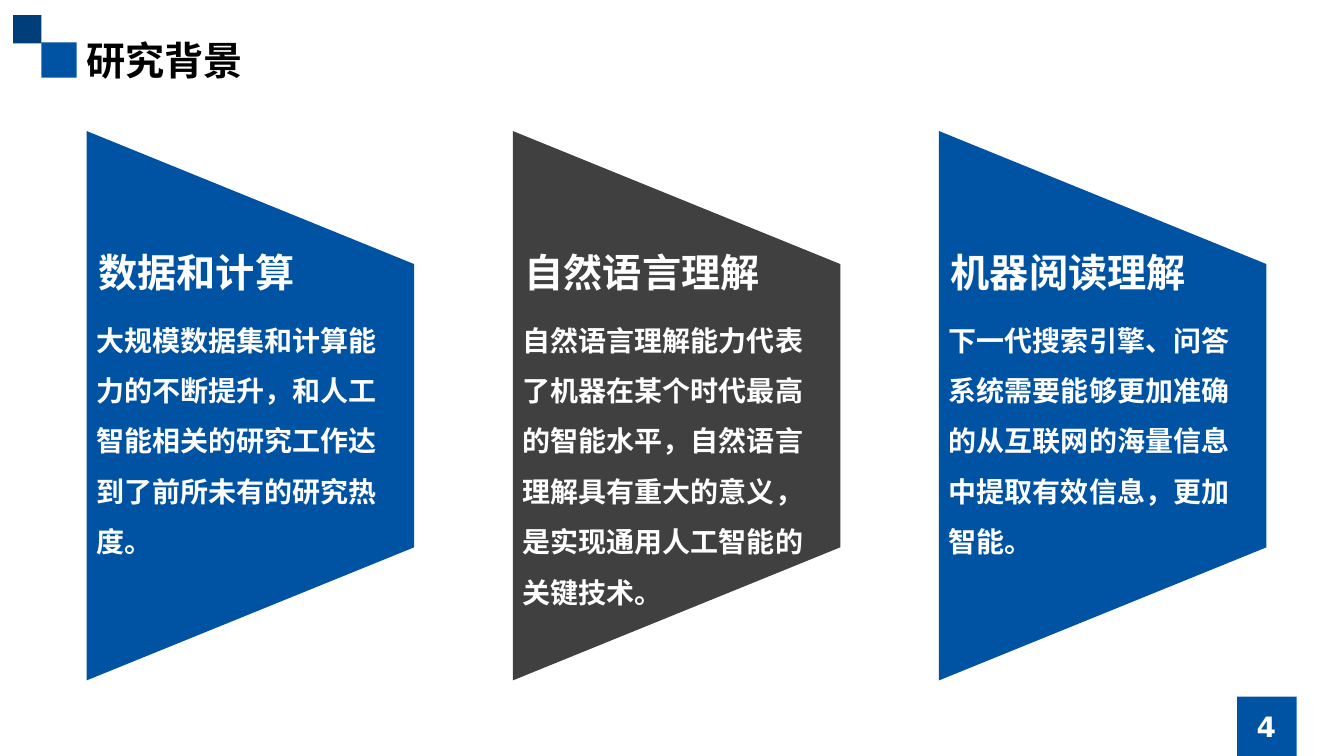
from lxml.etree import SubElement
from pptx import Presentation
from pptx.dml.color import RGBColor
from pptx.enum.shapes import MSO_SHAPE as Shape
from pptx.enum.text import MSO_ANCHOR as Anchor, MSO_AUTO_SIZE as AutoSize, PP_ALIGN as Align
from pptx.oxml.ns import qn
from pptx.util import Pt

EMU_PER_PX = 9144
COLOURS = {
    "blue": "0053A3",
    "navy": "003E7A",
    "grey": "404040",
    "white": "FFFFFF",
    "black": "000000",
}
CJK_FONT = "Noto Sans CJK SC"
PANEL_LEFT, PANEL_PITCH, PANEL_WIDTH = 86, 423, 325
PANELS = [
    ("数据和计算", 214, "blue", 260,
     "大规模数据集和计算能力的不断提升，和人工智能相关的研究工作达到了前所未有的研究热度。"),
    ("自然语言理解", 253, "grey", 360,
     "自然语言理解能力代表了机器在某个时代最高的智能水平，自然语言理解具有重大的意义，是实现通用人工智能的关键技术。"),
    ("机器阅读理解", 253, "blue", 260,
     "下一代搜索引擎、问答系统需要能够更加准确的从互联网的海量信息中提取有效信息，更加智能。"),
]


def px(value):
    return value * EMU_PER_PX


def colour(name):
    return RGBColor.from_string(COLOURS[name])


class SlideBuilder:
    def __init__(self, presentation):
        self.slide = presentation.slides.add_slide(presentation.slide_layouts[5])
        self.shapes = self.slide.shapes

    def paint(self, shape, fill):
        shape.shadow.inherit = False
        shape.fill.solid()
        shape.fill.fore_color.rgb = colour(fill)
        shape.line.fill.background()

    def square(self, left, top, size, fill):
        shape = self.shapes.add_shape(Shape.RECTANGLE, px(left), px(top), px(size), px(size))
        self.paint(shape, fill)

    def trapezoid(self, left, fill):
        right = left + PANEL_WIDTH
        builder = self.shapes.build_freeform(left, 130, EMU_PER_PX)
        builder.add_line_segments([(right, 262), (right, 543), (left, 675)], close=True)
        self.paint(builder.convert_to_shape(), fill)

    def fill_text(self, shape, text, size, font, fill="white", align=Align.LEFT,
                  anchor=Anchor.TOP, spacing=1.0, wrap=True):
        frame = shape.text_frame
        frame.word_wrap = wrap
        frame.auto_size = AutoSize.NONE
        frame.vertical_anchor = anchor
        paragraph = frame.paragraphs[0]
        paragraph.alignment = align
        paragraph.line_spacing = spacing
        run = paragraph.add_run()
        run.text = text
        run.font.size = Pt(size)
        run.font.bold = True
        run.font.name = font
        run.font.color.rgb = colour(fill)
        SubElement(run.font._element, qn("a:ea"), typeface=CJK_FONT)

    def text(self, left, top, width, height, text, size, font, **style):
        box = self.shapes.add_textbox(px(left), px(top), px(width), px(height))
        self.fill_text(box, text, size, font, **style)

    def title(self, left, top, width, height, text):
        title = self.shapes.title
        title.left, title.top = px(left), px(top)
        title.width, title.height = px(width), px(height)
        self.fill_text(title, text, 28, CJK_FONT, fill="black")


def main():
    presentation = Presentation()
    presentation.slide_width = px(1334)
    presentation.slide_height = px(750)
    builder = SlideBuilder(presentation)

    builder.square(41, 42, 35, "blue")
    builder.square(13, 15, 28, "navy")
    builder.square(1228, 691, 59, "blue")
    builder.title(76, 31, 591, 57, "研究背景")
    builder.text(1181, 701, 152, 40, "4", 20, "DejaVu Sans",
                 align=Align.CENTER, anchor=Anchor.MIDDLE)

    for index, (heading, heading_width, fill, body_height, body) in enumerate(PANELS):
        left = PANEL_LEFT + index * PANEL_PITCH
        builder.trapezoid(left, fill)
        builder.text(left + 2, 218, heading_width, 80, heading, 28, "Times New Roman",
                     spacing=1.5, wrap=False)
        builder.text(left, 299, PANEL_WIDTH, body_height, body, 20, "DejaVu Sans", spacing=1.5)

    presentation.save("out.pptx")


if __name__ == "__main__":
    main()
